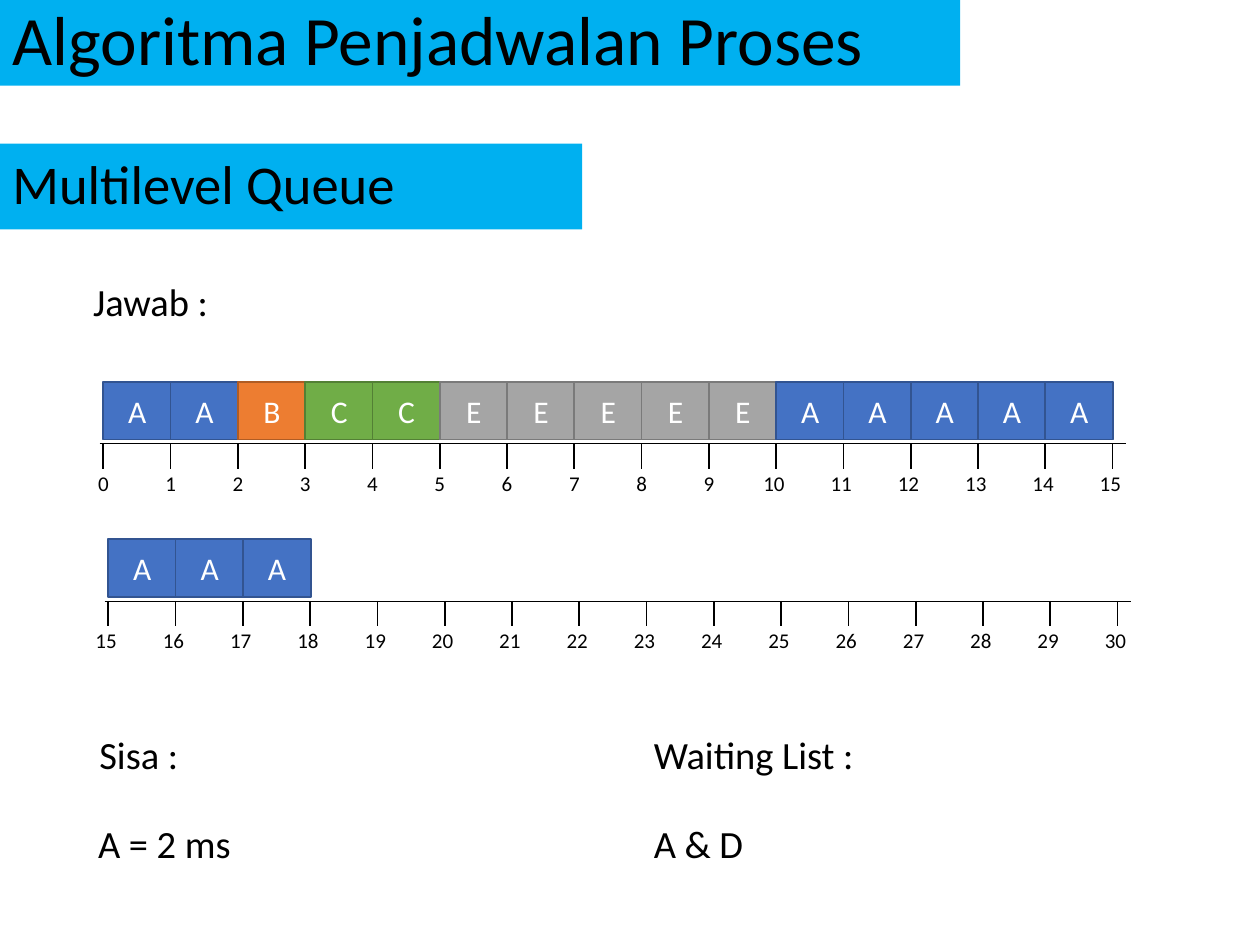
from dataclasses import dataclass
from lxml import etree
from pptx import Presentation
from pptx.dml.color import RGBColor
from pptx.enum.shapes import MSO_CONNECTOR, MSO_SHAPE
from pptx.enum.text import MSO_ANCHOR, MSO_AUTO_SIZE, PP_ALIGN
from pptx.oxml.ns import qn
from pptx.util import Inches, Pt

RECTANGLE = MSO_SHAPE.RECTANGLE
STRAIGHT = MSO_CONNECTOR.STRAIGHT
MIDDLE = MSO_ANCHOR.MIDDLE
NO_AUTOFIT = MSO_AUTO_SIZE.NONE
LEFT, CENTER, JUSTIFY = PP_ALIGN.LEFT, PP_ALIGN.CENTER, PP_ALIGN.JUSTIFY


@dataclass(frozen=True)
class Theme:
    font: str = "Calibri"
    banner: str = "00B0F0"
    ink: str = "000000"
    light: str = "FFFFFF"
    title_size: float = 39.6
    subtitle_size: float = 31.2
    body_size: float = 22
    process_size: float = 18
    tick_size: float = 12


theme = Theme()
process_colors = {
    "A": ("4472C4", "325491"),
    "B": ("ED7D31", "AF5C24"),
    "C": ("70AD47", "538035"),
    "E": ("A5A5A5", "7A7A7A"),
}


def write(box, text, size, color, align):
    frame = box.text_frame
    frame.word_wrap = True
    frame.auto_size = NO_AUTOFIT
    frame.text = text
    para = frame.paragraphs[0]
    para.alignment = align
    para.font.name = theme.font
    para.font.size = Pt(size)
    para.font.color.rgb = RGBColor.from_string(color)


def draw_line(x1, y1, x2, y2, width):
    line = page.shapes.add_connector(STRAIGHT, Inches(x1), Inches(y1), Inches(x2), Inches(y2))
    line.line.color.rgb = RGBColor.from_string(theme.ink)
    line.line.width = Pt(width)
    etree.SubElement(line._element.spPr, qn("a:effectLst"))


deck = Presentation()
deck.slide_width, deck.slide_height = Inches(10), Inches(7.5)
page = deck.slides.add_slide(deck.slide_layouts[5])

title = page.shapes.title
title.left, title.top, title.width, title.height = 0, 0, Inches(7.62), Inches(0.68)
subtitle = page.shapes.add_shape(RECTANGLE, 0, Inches(1.14), Inches(4.62), Inches(0.68))
subtitle.shadow.inherit = False
subtitle.line.fill.background()
for banner, text, size in (
    (title, "Algoritma Penjadwalan Proses", theme.title_size),
    (subtitle, "Multilevel Queue", theme.subtitle_size),
):
    banner.fill.solid()
    banner.fill.fore_color.rgb = RGBColor.from_string(theme.banner)
    write(banner, text, size, theme.ink, LEFT)
    banner.text_frame.vertical_anchor = MIDDLE
    banner.text_frame.paragraphs[0].line_spacing = 0.9

for text, left, top, width in (
    ("Jawab :", 0.64, 2.16, 1.98),
    ("Sisa :", 0.69, 5.75, 1.98),
    ("Waiting List :", 5.09, 5.75, 1.98),
    ("A = 2 ms", 0.68, 6.46, 2.85),
    ("A & D", 5.09, 6.46, 1.98),
):
    box = page.shapes.add_textbox(Inches(left), Inches(top), Inches(width), Inches(0.47))
    write(box, text, theme.body_size, theme.ink, JUSTIFY)

intervals = 15
step = 0.534
for start, processes, left, axis_top in (
    (0, "AABCCEEEEEAAAAA", 0.82, 3.52),
    (15, "AAA", 0.86, 4.77),
):
    draw_line(left - 0.03, axis_top, left + 8.12, axis_top, 0.5)
    for index in range(intervals + 1):
        tick = left + index * step
        draw_line(tick, axis_top, tick, axis_top + 0.2, 1)
        label = str(start + index)
        offset, width = (0.14, 0.33) if len(label) == 1 else (0.2, 0.4)
        box = page.shapes.add_textbox(
            Inches(tick - offset), Inches(axis_top + 0.165), Inches(width), Inches(0.3)
        )
        write(box, label, theme.tick_size, theme.ink, LEFT)
    for index, process in enumerate(processes):
        fill, outline = process_colors[process]
        block = page.shapes.add_shape(
            RECTANGLE, Inches(left + index * step), Inches(axis_top - 0.49), Inches(0.54), Inches(0.46)
        )
        block.shadow.inherit = False
        block.fill.solid()
        block.fill.fore_color.rgb = RGBColor.from_string(fill)
        block.line.color.rgb = RGBColor.from_string(outline)
        block.line.width = Pt(1)
        write(block, process, theme.process_size, theme.light, CENTER)
        block.text_frame.vertical_anchor = MIDDLE

deck.save("out.pptx")
